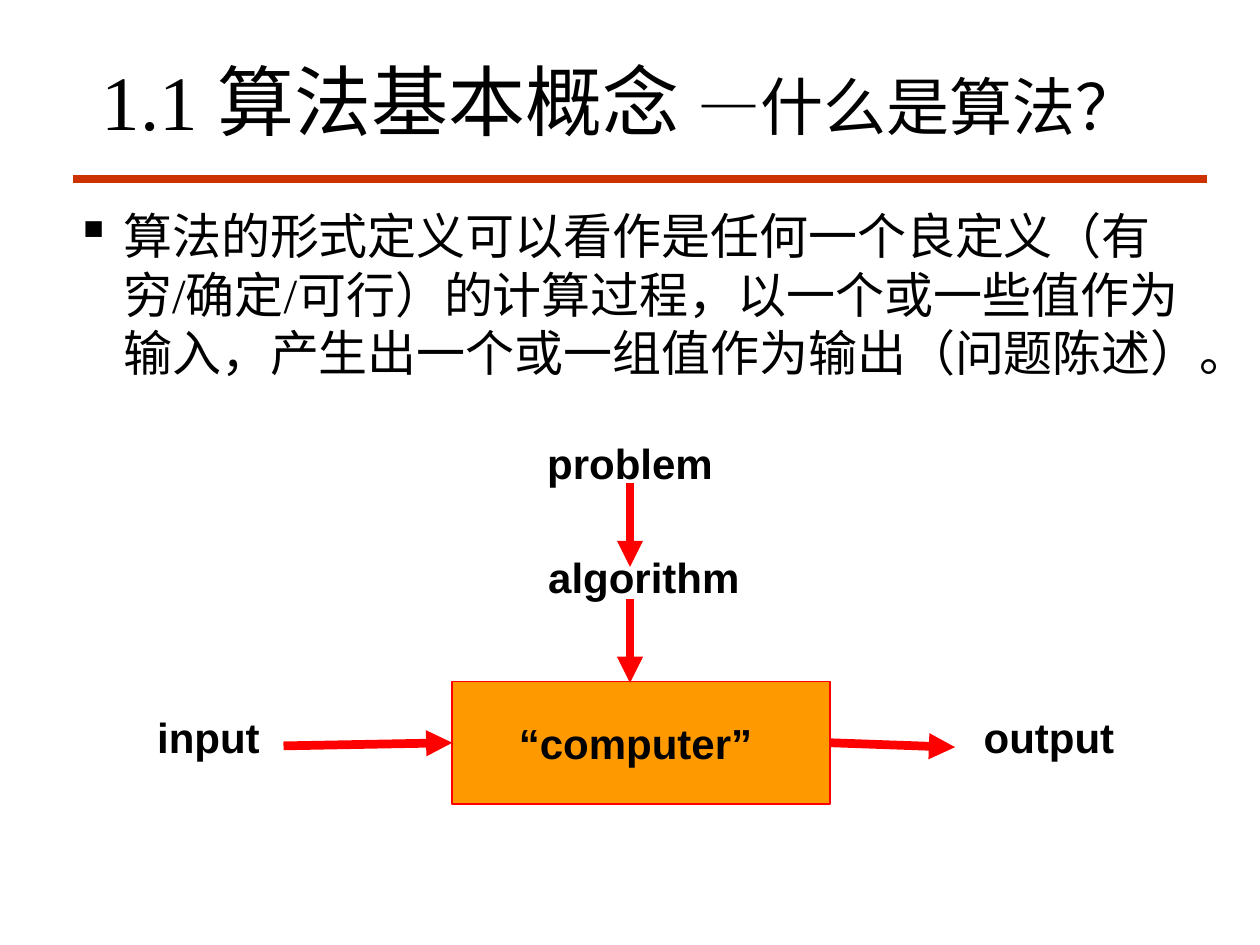
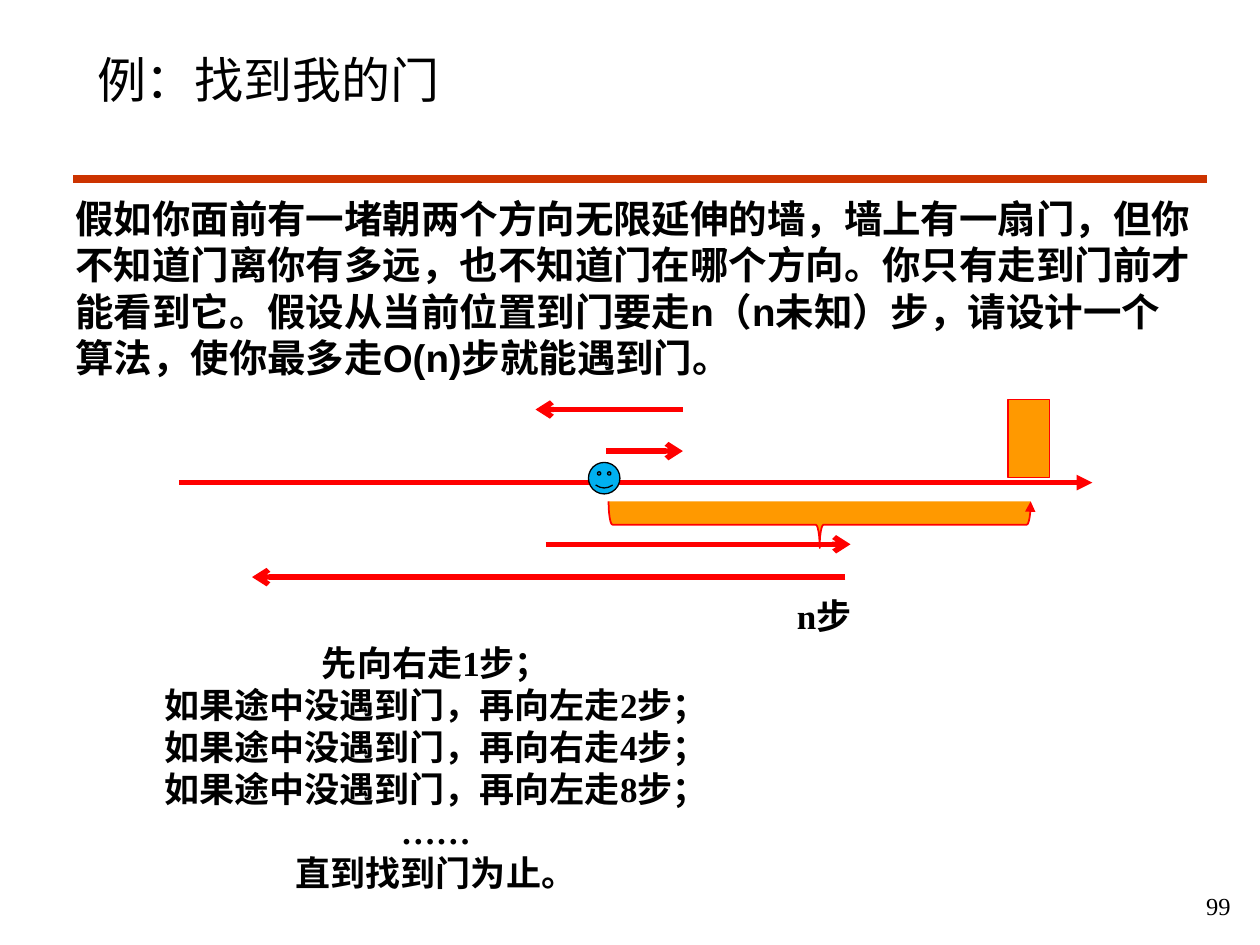
from lxml import etree
from pptx import Presentation
from pptx.dml.color import RGBColor
from pptx.enum import shapes, text
from pptx.oxml import ns
from pptx.util import Inches, Pt

SERIF, SANS = "Times New Roman", "Arial"
BLACK, RED, ORANGE, BLUE, RULE = "000000", "FF0000", "FF9900", "00B0F0", "CC3300"
LEFT, CENTER = text.PP_ALIGN.LEFT, text.PP_ALIGN.CENTER

CONCEPT_TITLE = [("1.1 算法基本概念 ", 44, SERIF), ("—", 36, SANS), ("什么是算法？", 36, SERIF)]
DEFINITION = ("算法的形式定义可以看作是任何一个良定义（有穷/确定/可行）的计算过程，"
              "以一个或一些值作为输入，产生出一个或一组值作为输出（问题陈述）。")
COMPUTER = ("“computer” ", (3.59, 5.41, 3, 0.97))
FLOW_LABELS = [
    ("problem", (4.16, 3.42, 1.68, 0.58)),
    ("algorithm", (4.25, 4.33, 1.72, 0.58)),
    ("input", (1, 5.6, 1.31, 0.58)),
    ("output", (7.67, 5.6, 1.31, 0.58)),
]
DOWN_ARROW_TOPS = [3.83, 4.75]

DOOR_TITLE = [("例：找到我的门", 28, SERIF)]
DOOR_PROBLEM = ("假如你面前有一堵朝两个方向无限延伸的墙，墙上有一扇门，但你不知道门离你有多远，"
                "也不知道门在哪个方向。你只有走到门前才能看到它。假设从当前位置到门要走n（n未知）步，"
                "请设计一个算法，使你最多走O(n)步就能遇到门。")
WALKS = [(4.81, 5.42, 3.58), (5.42, 4.25, 3.25), (4.33, 6.75, 4.32), (6.71, 2, 4.58)]
STEPS = [
    "先向右走1步；",
    *[f"如果途中没遇到门，再向{side}走{count}步；"
      for side, count in (("左", 2), ("右", 4), ("左", 8))],
    "……",
    "直到找到门为止。",
]


def rgb(value):
    return RGBColor.from_string(value)


def box(values):
    return [Inches(v) for v in values]


def add_run(p, content, size, font, bold=False):
    r = p.add_run()
    r.text = content
    r.font.size, r.font.name, r.font.bold = Pt(size), font, bold
    r.font.color.rgb = rgb(BLACK)


def add_text(slide, at, paragraphs, size, font, bold=False, align=LEFT):
    tf = slide.shapes.add_textbox(*box(at)).text_frame
    tf.word_wrap = True
    for i, content in enumerate(paragraphs):
        p = tf.paragraphs[0] if i == 0 else tf.add_paragraph()
        p.alignment = align
        add_run(p, content, size, font, bold)
    return tf


def add_bullet(p, char, indent):
    pPr = p._p.get_or_add_pPr()
    pPr.set("marL", str(Inches(indent)))
    pPr.set("indent", str(-Inches(indent)))
    etree.SubElement(pPr, ns.qn("a:buChar")).set("char", char)


def add_head(sp, kind):
    ln = sp.line._get_or_add_ln()
    etree.SubElement(ln, ns.qn("a:tailEnd")).set("type", kind)


def add_line(slide, start, end, color, width, head=None):
    line = slide.shapes.add_connector(shapes.MSO_CONNECTOR.STRAIGHT, *box(start + end))
    line.line.color.rgb = rgb(color)
    line.line.width = Pt(width)
    if head:
        add_head(line, head)
    etree.SubElement(line._element.spPr, ns.qn("a:effectLst"))
    return line


def add_shape(slide, preset, at, fill=ORANGE, color=RED, width=1):
    sp = slide.shapes.add_shape(preset, *box(at))
    sp.shadow.inherit = False
    sp.fill.solid()
    sp.fill.fore_color.rgb = rgb(fill)
    sp.line.color.rgb = rgb(color)
    sp.line.width = Pt(width)
    return sp


def add_slide(prs, title_runs, title_at, align):
    slide = prs.slides.add_slide(prs.slide_layouts[5])
    add_line(slide, (0.58, 1.42), (9.58, 1.42), RULE, 4.5)
    title = slide.shapes.title
    title.left, title.top, title.width, title.height = box(title_at)
    tf = title.text_frame
    tf.auto_size = text.MSO_AUTO_SIZE.NONE
    tf.vertical_anchor = text.MSO_ANCHOR.MIDDLE
    p = tf.paragraphs[0]
    p.alignment = align
    for run in title_runs:
        add_run(p, *run)
    return slide


def build_concept(prs):
    slide = add_slide(prs, CONCEPT_TITLE, (0.67, 0.17, 8.5, 1.25), CENTER)
    tf = add_text(slide, (0.5, 1.58, 9.25, 5.67), [DEFINITION], 28, SERIF)
    add_bullet(tf.paragraphs[0], "▪", 0.38)

    label, at = COMPUTER
    computer = add_shape(slide, shapes.MSO_SHAPE.RECTANGLE, at)
    tf = computer.text_frame
    tf.word_wrap = False
    tf.vertical_anchor = text.MSO_ANCHOR.MIDDLE
    p = tf.paragraphs[0]
    p.alignment = CENTER
    add_run(p, label, 24, SANS, True)

    for label, at in FLOW_LABELS:
        add_text(slide, at, [label], 24, SANS, True, CENTER)
    for top in DOWN_ARROW_TOPS:
        add_line(slide, (5, top), (5, top + 0.67), RED, 5, "triangle")
    arrow_in = add_line(slide, (2.25, 5.92), (3.59, 5.9), RED, 5, "triangle")
    arrow_in.end_connect(computer, 1)
    arrow_out = add_line(slide, (6.59, 5.9), (7.58, 5.93), RED, 5, "triangle")
    arrow_out.begin_connect(computer, 3)


def build_door(prs):
    slide = add_slide(prs, DOOR_TITLE, (0.67, 0.25, 8.3, 0.75), LEFT)
    add_text(slide, (0.5, 1.5, 9.08, 5.8), [DOOR_PROBLEM], 22, SANS, True)
    add_text(slide, (9.42, 7.02, 0.5, 0.4), ["99"], 14, SERIF, align=CENTER)

    add_line(slide, (1.42, 3.83), (8.67, 3.83), RED, 3, "triangle")
    add_shape(slide, shapes.MSO_SHAPE.RECTANGLE, (8, 3.17, 0.33, 0.62))
    brace = add_shape(slide, shapes.MSO_SHAPE.LEFT_BRACE, (6.32, 2.49, 0.37, 3.35))
    brace.adjustments[0] = 0.083
    brace.rotation = 270
    brace._element.spPr.xfrm.set("flipV", "1")
    add_head(brace, "triangle")

    add_text(slide, (6, 4.67, 1.08, 0.5), ["n步"], 20, SERIF, True, CENTER)
    add_text(slide, (0, 5.04, 6.92, 2.46), STEPS, 20, SERIF, True, CENTER)
    for x1, x2, y in WALKS:
        add_line(slide, (x1, y), (x2, y), RED, 3, "arrow")
    add_shape(slide, shapes.MSO_SHAPE.SMILEY_FACE, (4.67, 3.67, 0.25, 0.25), BLUE, BLACK, 0.75)


def main():
    prs = Presentation()
    prs.slide_width, prs.slide_height = Inches(10), Inches(7.5)
    build_concept(prs)
    build_door(prs)
    prs.save("out.pptx")


if __name__ == "__main__":
    main()
